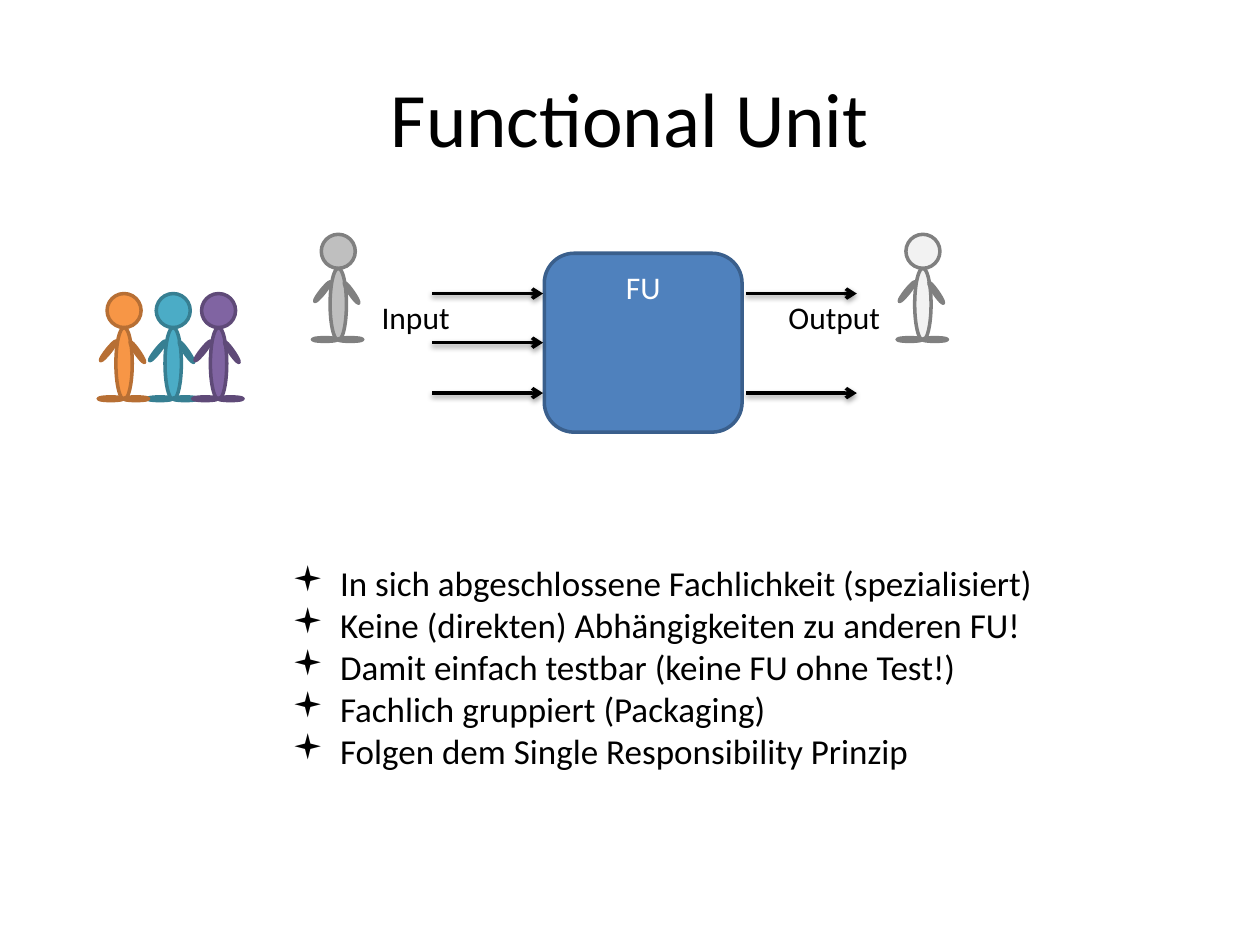
from typing import NamedTuple

from lxml import etree
from pptx import Presentation
from pptx.dml.color import RGBColor
from pptx.enum.shapes import MSO_CONNECTOR, MSO_SHAPE
from pptx.enum.text import MSO_ANCHOR, PP_ALIGN
from pptx.oxml import parse_xml
from pptx.oxml.ns import nsdecls, qn
from pptx.util import Inches, Pt

OVAL, ROUND = MSO_SHAPE.OVAL, MSO_SHAPE.ROUNDED_RECTANGLE
STRAIGHT = MSO_CONNECTOR.STRAIGHT
TOP, MIDDLE = MSO_ANCHOR.TOP, MSO_ANCHOR.MIDDLE
LEFT, CENTER = PP_ALIGN.LEFT, PP_ALIGN.CENTER

BLACK = RGBColor(0x00, 0x00, 0x00)
WHITE = RGBColor(0xFF, 0xFF, 0xFF)
BLUE = RGBColor(0x4F, 0x81, 0xBD)
NAVY = RGBColor(0x3A, 0x5F, 0x8C)
SILVER = RGBColor(0xBF, 0xBF, 0xBF)
PALE = RGBColor(0xF2, 0xF2, 0xF2)
GRAY = RGBColor(0x80, 0x80, 0x80)
TEAL = RGBColor(0x4B, 0xAC, 0xC6)
DARK_TEAL = RGBColor(0x37, 0x7F, 0x92)
PURPLE = RGBColor(0x80, 0x64, 0xA2)
DARK_PURPLE = RGBColor(0x5F, 0x4A, 0x78)
ORANGE = RGBColor(0xF7, 0x96, 0x46)
DARK_ORANGE = RGBColor(0xB7, 0x6F, 0x34)

FONT = "Calibri"
STROKE = Pt(2)


class Box(NamedTuple):
    left: float
    top: float
    width: float
    height: float


class Part(NamedTuple):
    box: Box
    turn: float = 0


class Person(NamedTuple):
    left: float
    top: float
    fill: RGBColor
    edge: RGBColor


class Label(NamedTuple):
    text: str
    box: Box
    size: int
    align: PP_ALIGN = LEFT
    anchor: MSO_ANCHOR = TOP
    wrap: bool = False


# Offsets from the top left corner of the head
BODY = (
    Part(Box(0, 0, 0.27, 0.27)),
    Part(Box(0.07, 0.27, 0.13, 0.57)),
    Part(Box(0.13, 0.82, 0.2, 0.03)),
    Part(Box(-0.07, 0.82, 0.2, 0.03)),
    Part(Box(-0.09, 0.44, 0.2, 0.03), 128.6),
    Part(Box(0.14, 0.45, 0.2, 0.03), 55.2),
)

PEOPLE = (
    Person(2.55, 1.86, SILVER, GRAY),
    Person(7.19, 1.86, PALE, GRAY),
    Person(1.24, 2.33, TEAL, DARK_TEAL),
    Person(1.6, 2.33, PURPLE, DARK_PURPLE),
    Person(0.85, 2.33, ORANGE, DARK_ORANGE),
)

LABELS = (
    Label("Functional Unit", Box(0.5, 0.3, 9, 1.25), 44, CENTER, MIDDLE, True),
    Label("Input", Box(2.93, 2.32, 0.75, 0.4), 18),
    Label("Output", Box(6.16, 2.32, 0.94, 0.4), 18),
)

POINTS = (
    "In sich abgeschlossene Fachlichkeit (spezialisiert)",
    "Keine (direkten) Abhängigkeiten zu anderen FU!",
    "Damit einfach testbar (keine FU ohne Test!)",
    "Fachlich gruppiert (Packaging)",
    "Folgen dem Single Responsibility Prinzip",
)

UNIT = Box(4.32, 2.01, 1.57, 1.42)
IN_X, OUT_X, REACH = 3.43, 5.92, 0.88
IN_ROWS = (2.33, 2.72, 3.12)
OUT_ROWS = (2.33, 3.12)

SHADOW = (
    f'<a:effectLst {nsdecls("a")}>'
    '<a:outerShdw blurRad="40000" dist="20000" dir="5400000" rotWithShape="0">'
    '<a:srgbClr val="000000"><a:alpha val="38000"/></a:srgbClr>'
    "</a:outerShdw></a:effectLst>"
)


def place(box: Box) -> list:
    return [Inches(value) for value in box]


def style(para, size: int, color: RGBColor, align=LEFT) -> None:
    para.alignment = align
    for run in para.runs:
        run.font.name = FONT
        run.font.size = Pt(size)
        run.font.color.rgb = color


def add_label(shapes, label: Label) -> None:
    frame = shapes.add_textbox(*place(label.box)).text_frame
    frame.word_wrap = label.wrap
    frame.vertical_anchor = label.anchor
    frame.text = label.text
    style(frame.paragraphs[0], label.size, BLACK, label.align)


def add_form(shapes, kind, box: Box, fill: RGBColor, edge: RGBColor):
    form = shapes.add_shape(kind, *place(box))
    form.shadow.inherit = False
    form.fill.solid()
    form.fill.fore_color.rgb = fill
    form.line.color.rgb = edge
    form.line.width = STROKE
    return form


def add_person(shapes, person: Person) -> None:
    group = shapes.add_group_shape()
    for part in BODY:
        x, y, width, height = part.box
        box = Box(person.left + x, person.top + y, width, height)
        form = add_form(group.shapes, OVAL, box, person.fill, person.edge)
        form.rotation = part.turn


def add_arrow(shapes, x: float, y: float) -> None:
    """Draw a shadowed arrow to the right, REACH inches long."""
    arrow = shapes.add_connector(
        STRAIGHT, Inches(x), Inches(y), Inches(x + REACH), Inches(y)
    )
    arrow.line.color.rgb = BLACK
    arrow.line.width = STROKE
    props = arrow.element.spPr
    etree.SubElement(props.find(qn("a:ln")), qn("a:tailEnd"), type="arrow")
    props.append(parse_xml(SHADOW))


def add_unit(shapes) -> None:
    unit = add_form(shapes, ROUND, UNIT, BLUE, NAVY)
    frame = unit.text_frame
    frame.vertical_anchor = TOP
    frame.text = "FU"
    style(frame.paragraphs[0], 18, WHITE, CENTER)


def add_points(shapes) -> None:
    frame = shapes.add_textbox(*place(Box(2.22, 4.41, 6.32, 1.78))).text_frame
    frame.word_wrap = True
    frame.text = "\n".join(POINTS)
    for para in frame.paragraphs:
        props = para._p.get_or_add_pPr()
        props.set("marL", str(Inches(0.38)))
        props.set("indent", str(Inches(-0.38)))
        etree.SubElement(props, qn("a:buFont"), typeface="Wingdings")
        etree.SubElement(props, qn("a:buChar"), char="▪")
        style(para, 20, BLACK)


def main() -> None:
    deck = Presentation()
    deck.slide_width, deck.slide_height = Inches(10), Inches(7.5)
    shapes = deck.slides.add_slide(deck.slide_layouts[6]).shapes
    for label in LABELS:
        add_label(shapes, label)
    add_points(shapes)
    add_unit(shapes)
    for person in PEOPLE:
        add_person(shapes, person)
    for x, rows in ((IN_X, IN_ROWS), (OUT_X, OUT_ROWS)):
        for y in rows:
            add_arrow(shapes, x, y)
    deck.save("out.pptx")


if __name__ == "__main__":
    main()
